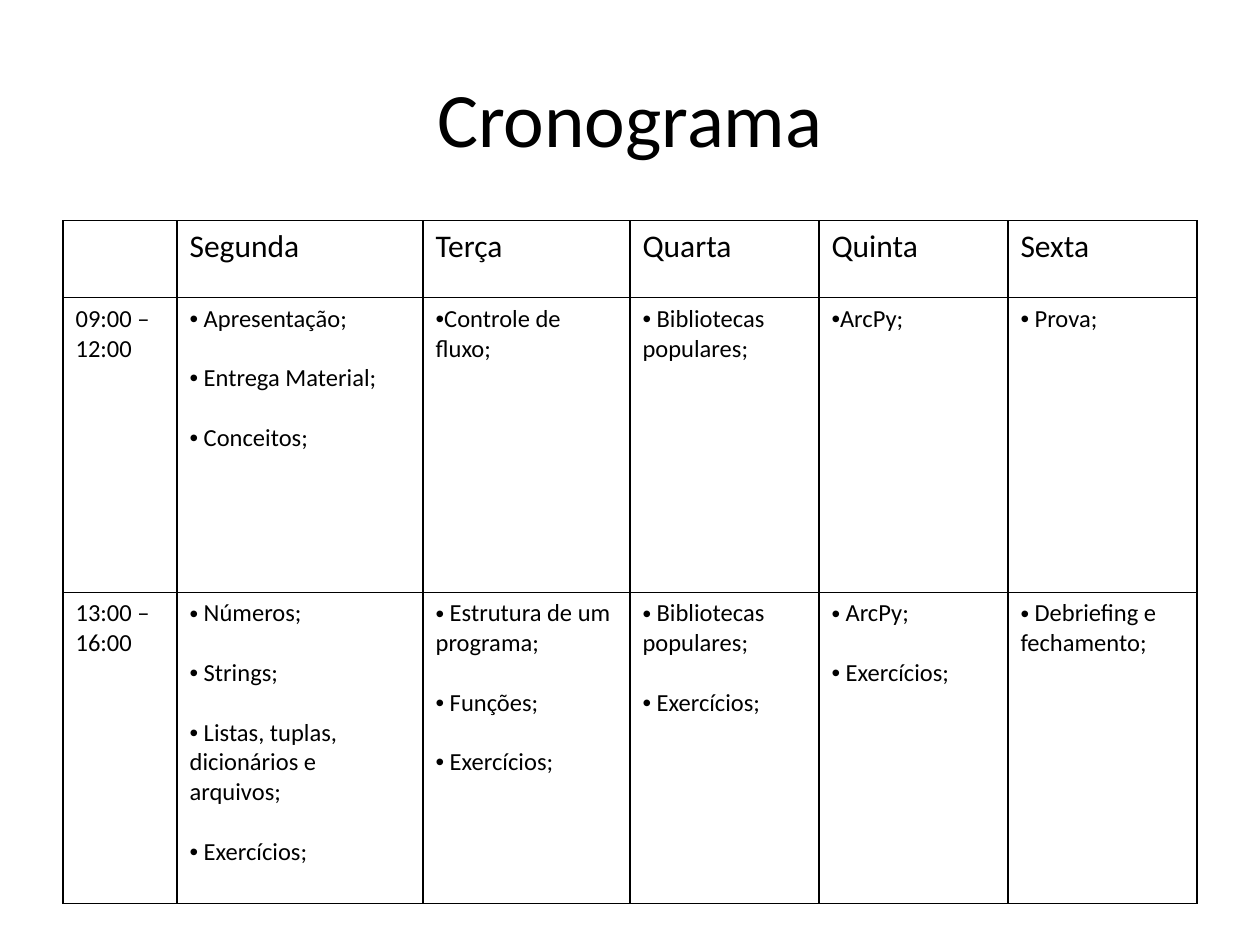
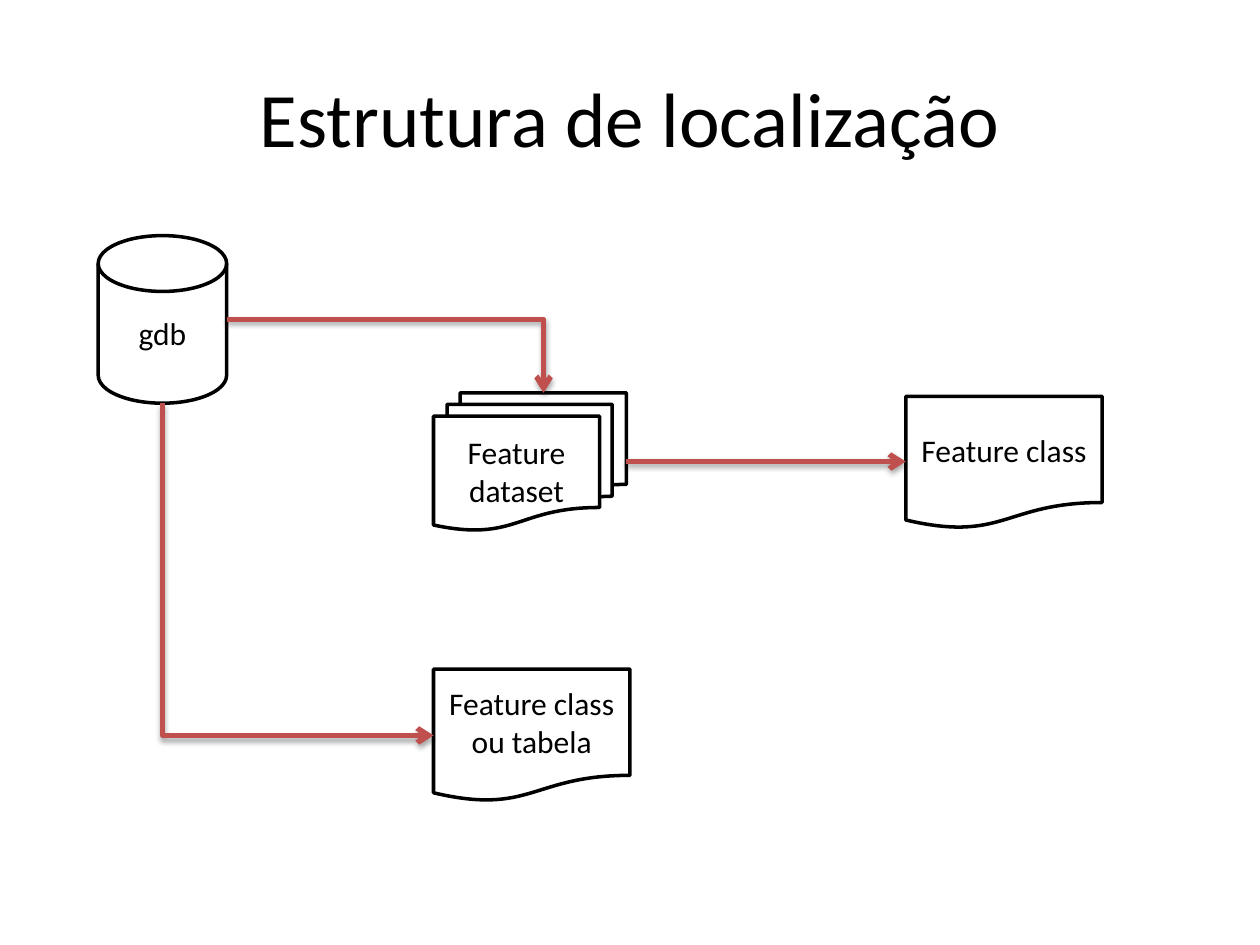
from dataclasses import dataclass

from lxml.etree import SubElement
from pptx import Presentation
from pptx.dml.color import RGBColor
from pptx.enum.shapes import MSO_CONNECTOR, MSO_SHAPE
from pptx.enum.text import MSO_ANCHOR, PP_ALIGN
from pptx.oxml.ns import qn
from pptx.util import Cm, Pt


@dataclass(frozen=True)
class Theme:
    font: str = "Calibri"
    ink: RGBColor = RGBColor(0, 0, 0)
    paper: RGBColor = RGBColor(255, 255, 255)
    arrow: RGBColor = RGBColor(0xC0, 0x50, 0x4D)
    title_size: int = 44
    label_size: int = 18
    cell_size: int = 14
    bullet_gap: int = 17


theme = Theme()

SCHEDULE_TITLE = "Cronograma"
DAYS = ["Segunda", "Terça", "Quarta", "Quinta", "Sexta"]
SESSIONS = [
    ("09:00 – 12:00", [
        [" Apresentação;", " Entrega Material;", " Conceitos;"],
        ["Controle de fluxo;"],
        [" Bibliotecas populares;"],
        ["ArcPy;"],
        [" Prova;"],
    ]),
    ("13:00 – 16:00", [
        [" Números;", " Strings;", " Listas, tuplas, dicionários e arquivos;", " Exercícios;"],
        [" Estrutura de um programa;", " Funções;", " Exercícios;"],
        [" Bibliotecas populares;", " Exercícios;"],
        [" ArcPy;", " Exercícios;"],
        [" Debriefing e fechamento;"],
    ]),
]
COLUMN_WIDTHS = [2.3, 4.96, 4.17, 3.81, 3.81, 3.81]
ROW_HEIGHTS = [1.55, 5.94, 6.27]
MARGIN = 1.27
CONTENT_WIDTH = 22.86
TABLE_TOP = 4.45

STRUCTURE_TITLE = "Estrutura de localização"
DATASET_LEFT = 8.74
DOCUMENT_SIZE = (3.96, 2.67)
NODES = {
    "geodatabase": (MSO_SHAPE.FLOWCHART_MAGNETIC_DISK, "gdb", 1.98, 4.75, 2.59, 3.38),
    "dataset": (MSO_SHAPE.FLOWCHART_MULTIDOCUMENT, "Feature dataset", DATASET_LEFT, 7.92, 3.89, 2.77),
    "feature class": (MSO_SHAPE.FLOWCHART_DOCUMENT, "Feature class", 18.26, 7.99, *DOCUMENT_SIZE),
    "table": (MSO_SHAPE.FLOWCHART_DOCUMENT, "Feature class ou tabela", DATASET_LEFT, 13.49, *DOCUMENT_SIZE),
}
ARROWS = [
    ("geodatabase", (1, 0.5), "dataset", (0.57, 0), "across then down"),
    ("dataset", (1, 0.5), "feature class", (0, 0.5), "across"),
    ("geodatabase", (0.5, 1), "table", (0, 0.5), "down then across"),
]


def add_run(paragraph, text, size):
    run = paragraph.add_run()
    run.text = text
    run.font.name = theme.font
    run.font.size = Pt(size)
    run.font.color.rgb = theme.ink


def add_titled_slide(title):
    slide = presentation.slides.add_slide(presentation.slide_layouts[5])
    shape = slide.shapes.title
    shape.left, shape.top = Cm(MARGIN), Cm(0.76)
    shape.width, shape.height = Cm(CONTENT_WIDTH), Cm(3.18)
    shape.text_frame.vertical_anchor = MSO_ANCHOR.MIDDLE
    paragraph = shape.text_frame.paragraphs[0]
    paragraph.alignment = PP_ALIGN.CENTER
    add_run(paragraph, title, theme.title_size)
    return slide


def add_bullet(paragraph):
    properties = paragraph._p.get_or_add_pPr()
    properties.set("marL", "0")
    properties.set("indent", "0")
    SubElement(properties, qn("a:buFont"), typeface="Arial")
    SubElement(properties, qn("a:buChar"), char="•")


def format_cell(cell):
    properties = cell._tc.get_or_add_tcPr()
    for side in ("lnL", "lnR", "lnT", "lnB"):
        border = SubElement(properties, qn(f"a:{side}"), w=str(Pt(1)))
        fill = SubElement(border, qn("a:solidFill"))
        SubElement(fill, qn("a:srgbClr"), val=str(theme.ink))
    cell.fill.background()


def fill_cell(cell, lines, size, bulleted=False):
    for index, line in enumerate(lines):
        frame = cell.text_frame
        paragraph = frame.add_paragraph() if index else frame.paragraphs[0]
        if index:
            paragraph.space_before = Pt(theme.bullet_gap)
        if bulleted:
            add_bullet(paragraph)
        add_run(paragraph, line, size)


def add_schedule(slide):
    table = slide.shapes.add_table(
        len(ROW_HEIGHTS), len(COLUMN_WIDTHS), Cm(MARGIN), Cm(TABLE_TOP),
        Cm(CONTENT_WIDTH), Cm(sum(ROW_HEIGHTS))).table
    table.first_row = table.horz_banding = False
    for column, width in zip(table.columns, COLUMN_WIDTHS):
        column.width = Cm(width)
    for row, height in zip(table.rows, ROW_HEIGHTS):
        row.height = Cm(height)
    for cell in table.iter_cells():
        format_cell(cell)
    for column, day in enumerate(DAYS, 1):
        fill_cell(table.cell(0, column), [day], theme.label_size)
    for row, (hours, topics) in enumerate(SESSIONS, 1):
        fill_cell(table.cell(row, 0), [hours], theme.cell_size)
        for column, lines in enumerate(topics, 1):
            fill_cell(table.cell(row, column), lines, theme.cell_size, bulleted=True)


def add_node(slide, preset, label, *box):
    shape = slide.shapes.add_shape(preset, *map(Cm, box))
    shape.shadow.inherit = False
    shape.fill.solid()
    shape.fill.fore_color.rgb = theme.paper
    shape.line.color.rgb = theme.ink
    shape.line.width = Pt(2)
    shape.text_frame.vertical_anchor = MSO_ANCHOR.MIDDLE
    paragraph = shape.text_frame.paragraphs[0]
    paragraph.alignment = PP_ALIGN.CENTER
    add_run(paragraph, label, theme.label_size)


def point_on(node, fraction):
    left, top, width, height = NODES[node][2:]
    return left + width * fraction[0], top + height * fraction[1]


def add_shadow(properties):
    effects = SubElement(properties, qn("a:effectLst"))
    shadow = SubElement(effects, qn("a:outerShdw"), blurRad="40000", dist="23000",
                        dir="5400000", rotWithShape="0")
    color = SubElement(shadow, qn("a:srgbClr"), val=str(theme.ink))
    SubElement(color, qn("a:alpha"), val="35000")


def add_arrow(slide, source, source_side, target, target_side, route):
    start_x, start_y = point_on(source, source_side)
    end_x, end_y = point_on(target, target_side)
    if route == "across":
        end_y = start_y
    connector = slide.shapes.add_connector(
        MSO_CONNECTOR.ELBOW, Cm(start_x), Cm(start_y), Cm(end_x), Cm(end_y))
    properties = connector._element.spPr
    if route != "across":
        properties.find(qn("a:prstGeom")).set("prst", "bentConnector2")
    if route == "down then across":
        across, down = end_x - start_x, end_y - start_y
        connector.left = Cm((start_x + end_x - down) / 2)
        connector.top = Cm((start_y + end_y - across) / 2)
        connector.width, connector.height = Cm(down), Cm(across)
        transform = properties.find(qn("a:xfrm"))
        transform.set("rot", "16200000")
        transform.set("flipH", "1")
    connector.line.color.rgb = theme.arrow
    connector.line.width = Pt(3)
    SubElement(properties.find(qn("a:ln")), qn("a:tailEnd"), type="arrow")
    add_shadow(properties)


presentation = Presentation()
presentation.slide_width, presentation.slide_height = Cm(25.4), Cm(19.05)

add_schedule(add_titled_slide(SCHEDULE_TITLE))

structure = add_titled_slide(STRUCTURE_TITLE)
for node in NODES.values():
    add_node(structure, *node)
for arrow in ARROWS:
    add_arrow(structure, *arrow)

presentation.save("out.pptx")
